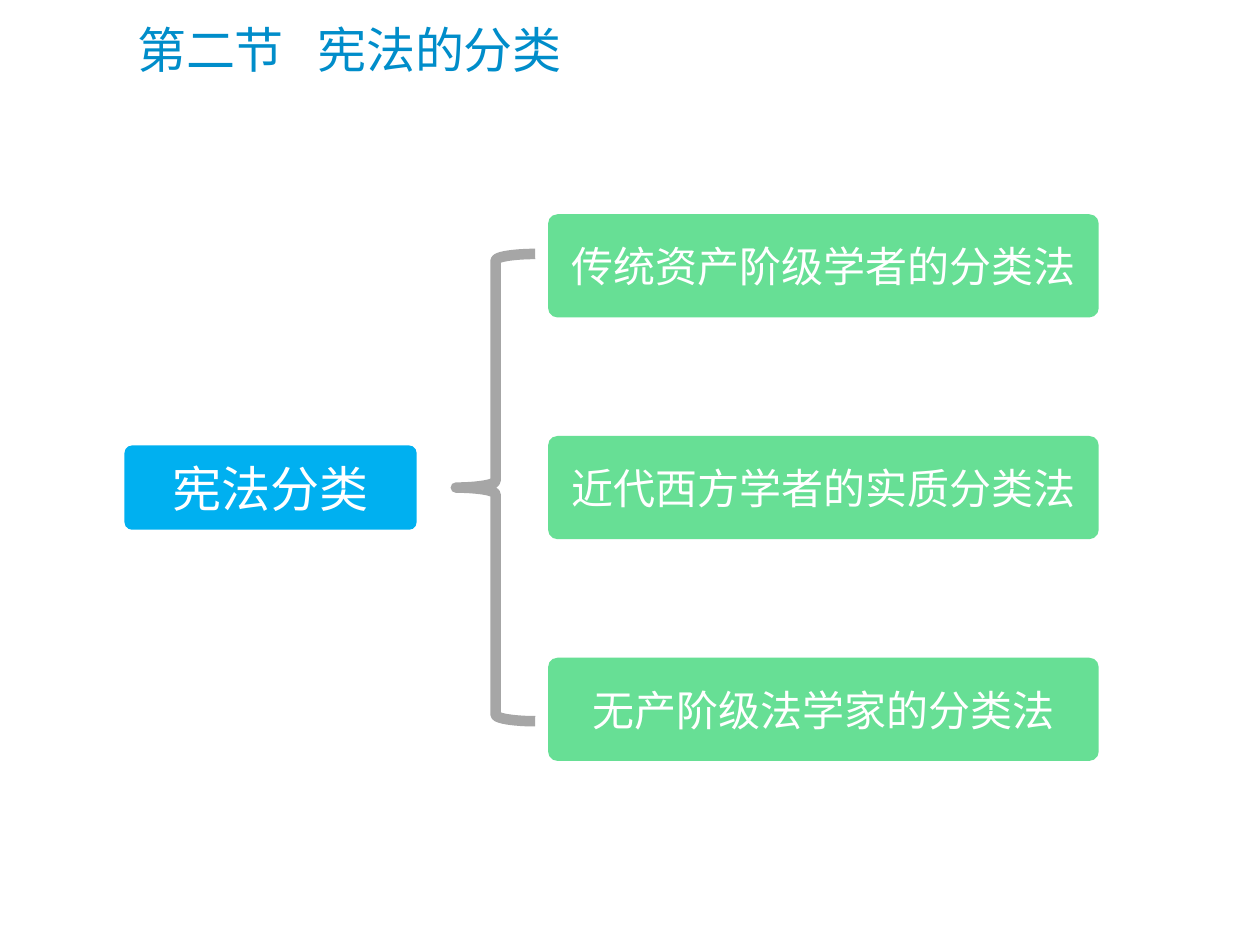
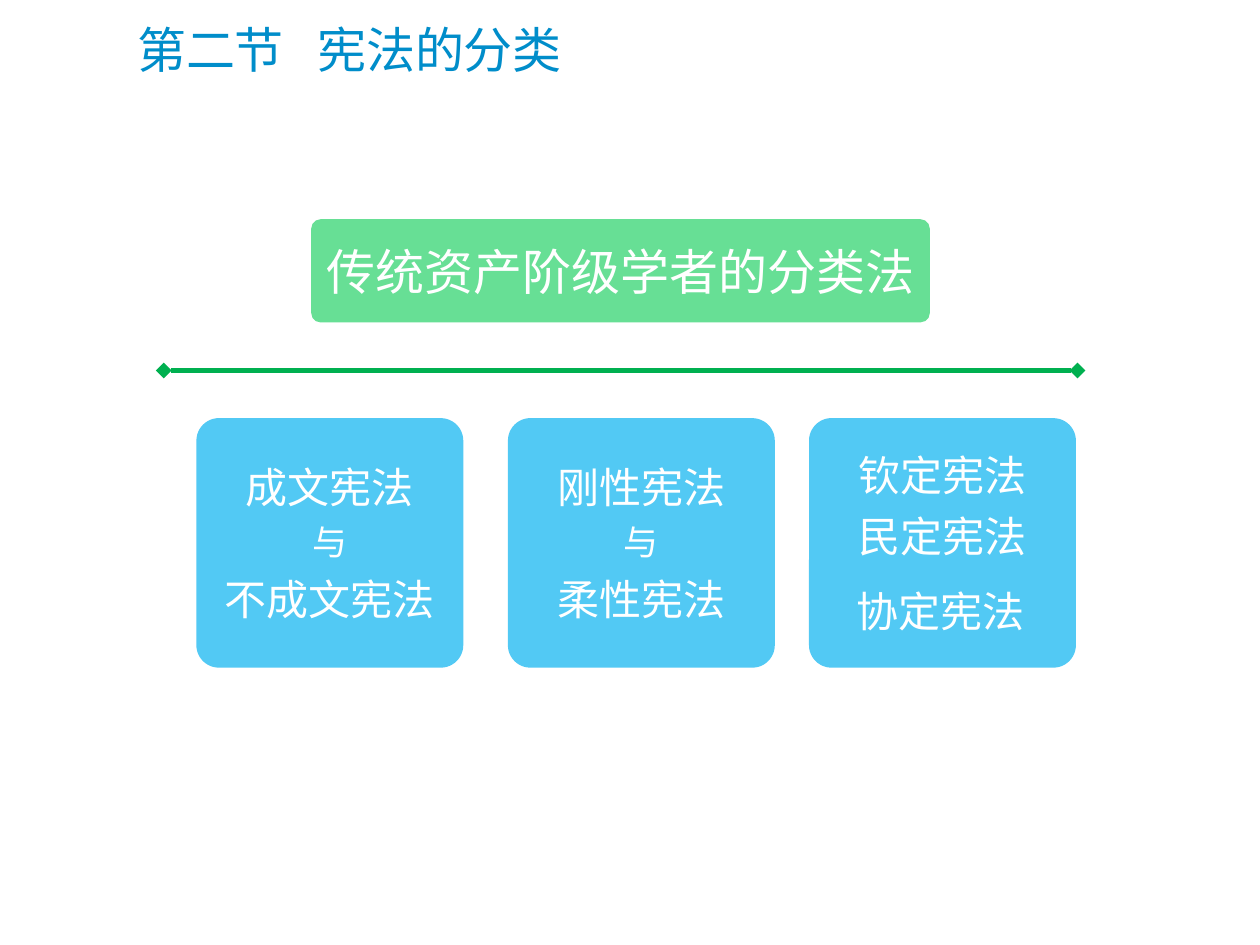
from lxml.etree import SubElement
from pptx import Presentation
from pptx.dml.color import RGBColor
from pptx.enum.lang import MSO_LANGUAGE_ID
from pptx.enum.shapes import MSO_CONNECTOR, MSO_SHAPE
from pptx.enum.text import MSO_ANCHOR, MSO_AUTO_SIZE, PP_ALIGN
from pptx.oxml.ns import qn
from pptx.util import Cm, Pt

TITLE_BLUE = RGBColor(0x00, 0x8D, 0xCA)
BLUE = RGBColor(0x00, 0xB0, 0xF0)
GREEN = RGBColor(0x1F, 0xD1, 0x63)
RULE_GREEN = RGBColor(0x00, 0xB0, 0x50)
GREY = RGBColor(0xA6, 0xA6, 0xA6)
WHITE = RGBColor(0xFF, 0xFF, 0xFF)
LATIN_FONT = "Calibri"
CJK_FONT = "Noto Sans CJK SC"
SECTION = "第二节\t宪法的分类"
BAR_HEIGHT = 2.08


def add_run(p, text, size, color=WHITE, font=LATIN_FONT):
    r = p.add_run()
    r.text = text
    r.font.size = Pt(size)
    r.font.name = font
    r.font.color.rgb = color
    r.font.language_id = MSO_LANGUAGE_ID.SIMPLIFIED_CHINESE
    SubElement(r.font._element, qn("a:ea"), typeface=CJK_FONT)


def add_title_slide(prs):
    s = prs.slides.add_slide(prs.slide_layouts.get_by_name("Title Only"))
    title = s.shapes.title
    title.left, title.top = Cm(2.51), Cm(0.25)
    title.width, title.height = Cm(22.15), Cm(1.47)
    tf = title.text_frame
    tf.auto_size = MSO_AUTO_SIZE.NONE
    tf.vertical_anchor = MSO_ANCHOR.MIDDLE
    p = tf.paragraphs[0]
    p.alignment = PP_ALIGN.LEFT
    tabs = SubElement(p._p.get_or_add_pPr(), qn("a:tabLst"))
    SubElement(tabs, qn("a:tab"), pos=str(Cm(3.63)), algn="l")
    add_run(p, SECTION, 28, TITLE_BLUE)
    return s


def add_box(s, left, top, width, height, lines, color, alpha=68, font=LATIN_FONT):
    sp = s.shapes.add_shape(MSO_SHAPE.ROUNDED_RECTANGLE,
                            Cm(left), Cm(top), Cm(width), Cm(height))
    sp.adjustments[0] = 0.09
    sp.shadow.inherit = False
    sp.line.fill.background()
    sp.fill.solid()
    sp.fill.fore_color.rgb = color
    if alpha < 100:
        rgb = sp._element.spPr.find(f".//{qn('a:srgbClr')}")
        SubElement(rgb, qn("a:alpha"), val=str(alpha * 1000))
    tf = sp.text_frame
    tf.word_wrap = True
    tf.vertical_anchor = MSO_ANCHOR.MIDDLE
    tf.margin_left = tf.margin_right = Cm(0.1)
    for i, (text, size) in enumerate(lines):
        p = tf.add_paragraph() if i else tf.paragraphs[0]
        p.alignment = PP_ALIGN.CENTER
        if i:
            p.space_before = Pt(size // 4)
        add_run(p, text, size, font=font)
    return sp


def add_brace(s, left, top, width, height):
    brace = s.shapes.add_shape(MSO_SHAPE.LEFT_BRACE,
                               Cm(left), Cm(top), Cm(width), Cm(height))
    brace.shadow.inherit = False
    brace.fill.background()
    brace.line.color.rgb = GREY
    brace.line.width = Pt(6)


def add_diamond_rule(s, left, top, width):
    rule = s.shapes.add_connector(MSO_CONNECTOR.STRAIGHT, Cm(left), Cm(top),
                                  Cm(left + width), Cm(top))
    rule.line.color.rgb = RULE_GREEN
    rule.line.width = Pt(3)
    ln = rule.line._get_or_add_ln()
    for end in ("a:headEnd", "a:tailEnd"):
        SubElement(ln, qn(end), type="diamond")
    SubElement(rule._element.spPr, qn("a:effectLst"))


def add_tree(s, left, top, width, height, root, branches):
    root_height, branch_width = 1.7, 11.1
    add_brace(s, left + 6.68, top + 0.8, 1.6, height - 1.6)
    add_box(s, left, top + (height - root_height) / 2, 5.89, root_height,
            [(root, 28)], BLUE, alpha=100, font=CJK_FONT)
    pitch = (height - BAR_HEIGHT) / (len(branches) - 1)
    for i, branch in enumerate(branches):
        add_box(s, left + width - branch_width, top + i * pitch,
                branch_width, BAR_HEIGHT, [(branch, 24)], GREEN)


def add_card_group(s, left, top, width, height, heading, cards):
    heading_width, card_height = 12.47, 5.03
    add_box(s, left + (width - heading_width) / 2, top, heading_width, BAR_HEIGHT,
            [(heading, 28)], GREEN)
    add_diamond_rule(s, left, top + 3.05, width)
    return [add_box(s, left + offset, top + height - card_height, 5.38, card_height,
                    lines, BLUE)
            for offset, lines in cards]


def build_overview(prs):
    s = add_title_slide(prs)
    add_tree(s, 2.51, 4.32, 19.64, 11.02, "宪法分类",
             ["传统资产阶级学者的分类法", "近代西方学者的实质分类法", "无产阶级法学家的分类法"])


def build_traditional(prs):
    s = add_title_slide(prs)
    cards = [
        (0.66, [("成文宪法", 24), ("与", 20), ("不成文宪法", 24)]),
        (6.94, [("刚性宪法", 24), ("与", 20), ("柔性宪法", 24)]),
        (13.01, [("钦定宪法", 24), ("民定宪法", 24), ("协定宪法", 24)]),
    ]
    boxes = add_card_group(s, 3.3, 4.42, 18.42, 9.04, "传统资产阶级学者的分类法", cards)
    p = boxes[-1].text_frame.paragraphs[-1]
    p.alignment = PP_ALIGN.LEFT
    p.space_before = Pt(0)
    p.line_spacing = 1.5
    p._p.get_or_add_pPr().set("marL", str(Cm(0.72)))


def main():
    prs = Presentation()
    prs.slide_width, prs.slide_height = Cm(25.4), Cm(19.05)
    build_overview(prs)
    build_traditional(prs)
    prs.save("out.pptx")


if __name__ == "__main__":
    main()
